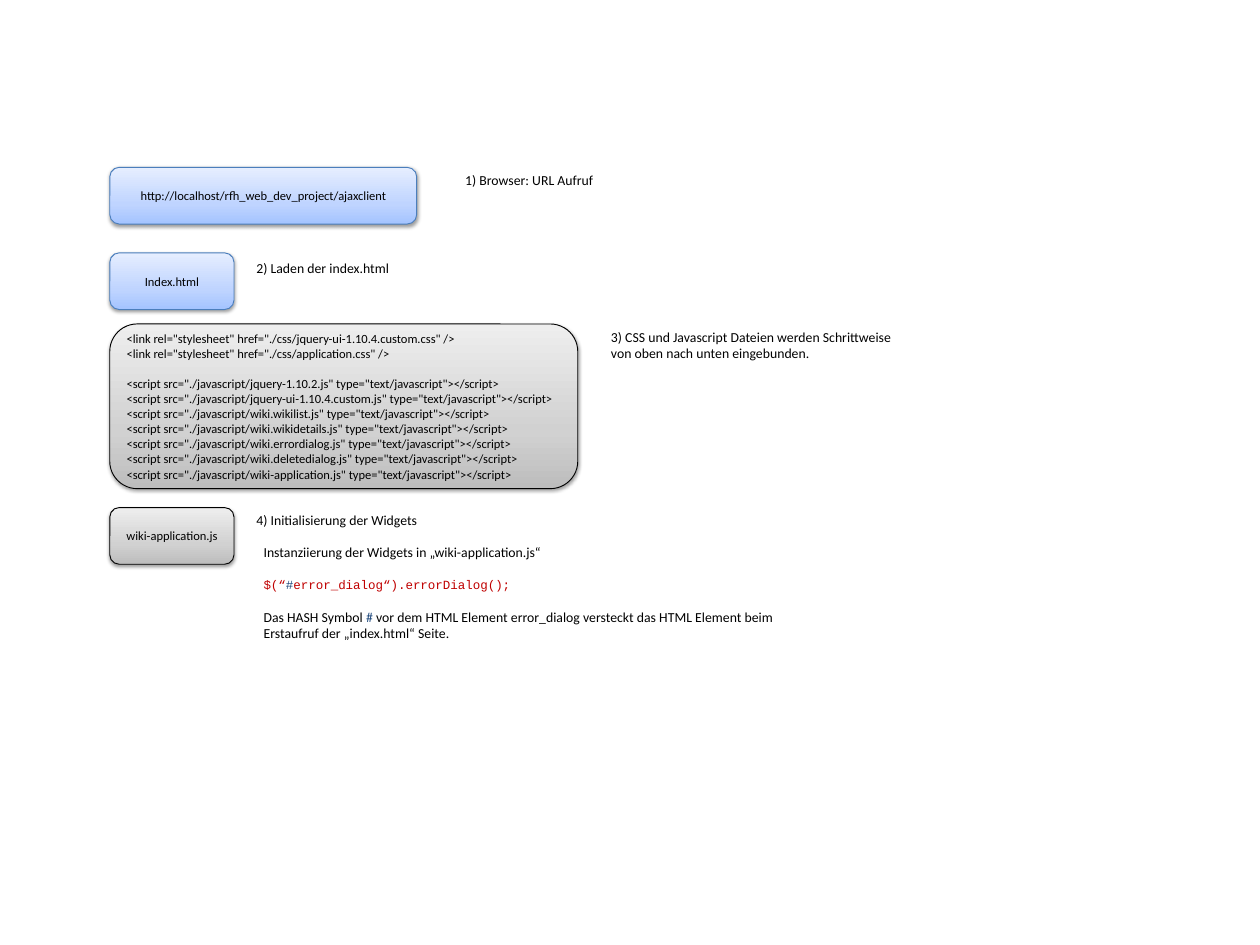
from lxml import etree
from pptx import Presentation
from pptx.dml.color import RGBColor
from pptx.enum.shapes import MSO_SHAPE
from pptx.enum.text import MSO_ANCHOR, MSO_AUTO_SIZE, PP_ALIGN
from pptx.oxml import parse_xml
from pptx.oxml.ns import qn
from pptx.util import Pt

ROUNDED = MSO_SHAPE.ROUNDED_RECTANGLE
MIDDLE, TOP = MSO_ANCHOR.MIDDLE, MSO_ANCHOR.TOP
LEFT, CENTER = PP_ALIGN.LEFT, PP_ALIGN.CENTER
NO_AUTOFIT = MSO_AUTO_SIZE.NONE

BLACK = RGBColor(0x00, 0x00, 0x00)
RED = RGBColor(0xC0, 0x00, 0x00)
NAVY = RGBColor(0x1F, 0x49, 0x7D)
BLUE_LINE = RGBColor(0x4B, 0x7E, 0xBC)
BLUE_STOPS = (RGBColor(0xA4, 0xC4, 0xFF), RGBColor(0xBF, 0xD4, 0xFF), RGBColor(0xE6, 0xEE, 0xFF))
GRAY_STOPS = (RGBColor(0xBD, 0xBD, 0xBD), RGBColor(0xD1, 0xD1, 0xD1), RGBColor(0xEE, 0xEE, 0xEE))
BLUE = (BLUE_STOPS, BLUE_LINE)
GRAY = (GRAY_STOPS, BLACK)

BODY, CODE = "Calibri", "Courier New"
BOX_LEFT, BOX_HEIGHT, FILE_WIDTH = 87.84, 45.36, 99.36
BOX_LINE, NOTE_LINE = 12.2, 13.4  # height of one text line

STYLES = ("jquery-ui-1.10.4.custom", "application")
SCRIPTS = ("jquery-1.10.2", "jquery-ui-1.10.4.custom", "wiki.wikilist", "wiki.wikidetails",
           "wiki.errordialog", "wiki.deletedialog", "wiki-application")
NAMESPACE = 'xmlns:a="http://schemas.openxmlformats.org/drawingml/2006/main"'


def add_run(paragraph, text, size, color=BLACK, font=BODY):
    run = paragraph.add_run()
    run.text = text
    run.font.size = Pt(size)
    run.font.name = font
    run.font.color.rgb = color


def write_paragraphs(shape, paragraphs, align, anchor):
    """Each paragraph is (space before, runs)."""
    frame = shape.text_frame
    frame.word_wrap = True
    frame.auto_size = NO_AUTOFIT
    frame.vertical_anchor = anchor
    for index, (space, runs) in enumerate(paragraphs):
        paragraph = frame.add_paragraph() if index else frame.paragraphs[0]
        paragraph.alignment = align
        paragraph.space_before = Pt(space)
        for run in runs:
            add_run(paragraph, *run)


def set_gradient(shape, colors):
    stops = "".join(
        f'<a:gs pos="{position * 1000}"><a:srgbClr val="{color}"/></a:gs>'
        for position, color in zip((0, 35, 100), colors))
    gradient = parse_xml(
        f'<a:gradFill {NAMESPACE} rotWithShape="1"><a:gsLst>{stops}</a:gsLst>'
        '<a:lin ang="16200000" scaled="0"/></a:gradFill>')
    shape.element.spPr.find(qn("a:prstGeom")).addnext(gradient)


def set_shadow(shape):
    shape.shadow.inherit = False
    effects = shape.element.spPr.find(qn("a:effectLst"))
    shadow = etree.SubElement(
        effects, qn("a:outerShdw"), blurRad=str(Pt(3.1)), dist=str(Pt(1.6)),
        dir="5400000", rotWithShape="0")
    color = etree.SubElement(shadow, qn("a:srgbClr"), val="000000")
    etree.SubElement(color, qn("a:alpha"), val="38000")


def add_box(slide, top, width, height, theme, paragraphs, align=CENTER):
    stops, line_color = theme
    shape = slide.shapes.add_shape(ROUNDED, Pt(BOX_LEFT), Pt(top), Pt(width), Pt(height))
    set_gradient(shape, stops)
    shape.line.color.rgb = line_color
    shape.line.width = Pt(0.75)
    set_shadow(shape)
    write_paragraphs(shape, paragraphs, align, MIDDLE)


def add_note(slide, left, top, width, height, paragraphs):
    box = slide.shapes.add_textbox(Pt(left), Pt(top), Pt(width), Pt(height))
    write_paragraphs(box, paragraphs, LEFT, TOP)


def include_lines():
    links = [f'<link rel="stylesheet" href="./css/{name}.css" />' for name in STYLES]
    scripts = [f'<script src="./javascript/{name}.js" type="text/javascript"></script>'
               for name in SCRIPTS]
    return [(BOX_LINE if line == scripts[0] else 0, [(line, 10)]) for line in links + scripts]


def main():
    presentation = Presentation()
    presentation.slide_width, presentation.slide_height = Pt(1008), Pt(756)
    slide = presentation.slides.add_slide(presentation.slide_layouts[6])

    # Boxes: address, page, included files, application script
    for top, width, theme, label in (
            (133.92, 245.52, BLUE, "http://localhost/rfh_web_dev_project/ajaxclient"),
            (202.32, FILE_WIDTH, BLUE, "Index.html"),
            (406.08, FILE_WIDTH, GRAY, "wiki-application.js")):
        add_box(slide, top, width, BOX_HEIGHT, theme, [(0, [(label, 10)])])
    add_box(slide, 259.2, 374.4, 131.76, GRAY, include_lines(), LEFT)

    # Numbered steps
    for left, top, width, height, text in (
            (365.04, 133.92, 198.72, 20.6, "1) Browser: URL Aufruf"),
            (198, 204.48, 198.72, 20.6, "2) Laden der index.html"),
            (481.68, 259.2, 249.12, 47.52,
             "3) CSS und Javascript Dateien werden Schrittweise von oben nach unten eingebunden."),
            (198, 406.08, 198.72, 20.6, "4) Initialisierung der Widgets")):
        add_note(slide, left, top, width, height, [(0, [(text, 11)])])

    # Explanation of the widget call
    add_note(slide, 203.76, 431.28, 430.56, 100.8, [
        (0, [("Instanziierung der Widgets in „wiki-application.js“", 11)]),
        (NOTE_LINE, [("$(“", 10, RED, CODE), ("#", 10, NAVY, CODE),
                     ("error_dialog“).errorDialog();", 10, RED, CODE)]),
        (NOTE_LINE, [("Das HASH Symbol ", 11), ("#", 11, NAVY),
                     (" vor dem HTML Element error_dialog versteckt das HTML Element beim "
                      "Erstaufruf der „index.html“ Seite.", 11)]),
    ])

    presentation.save("out.pptx")


main()
